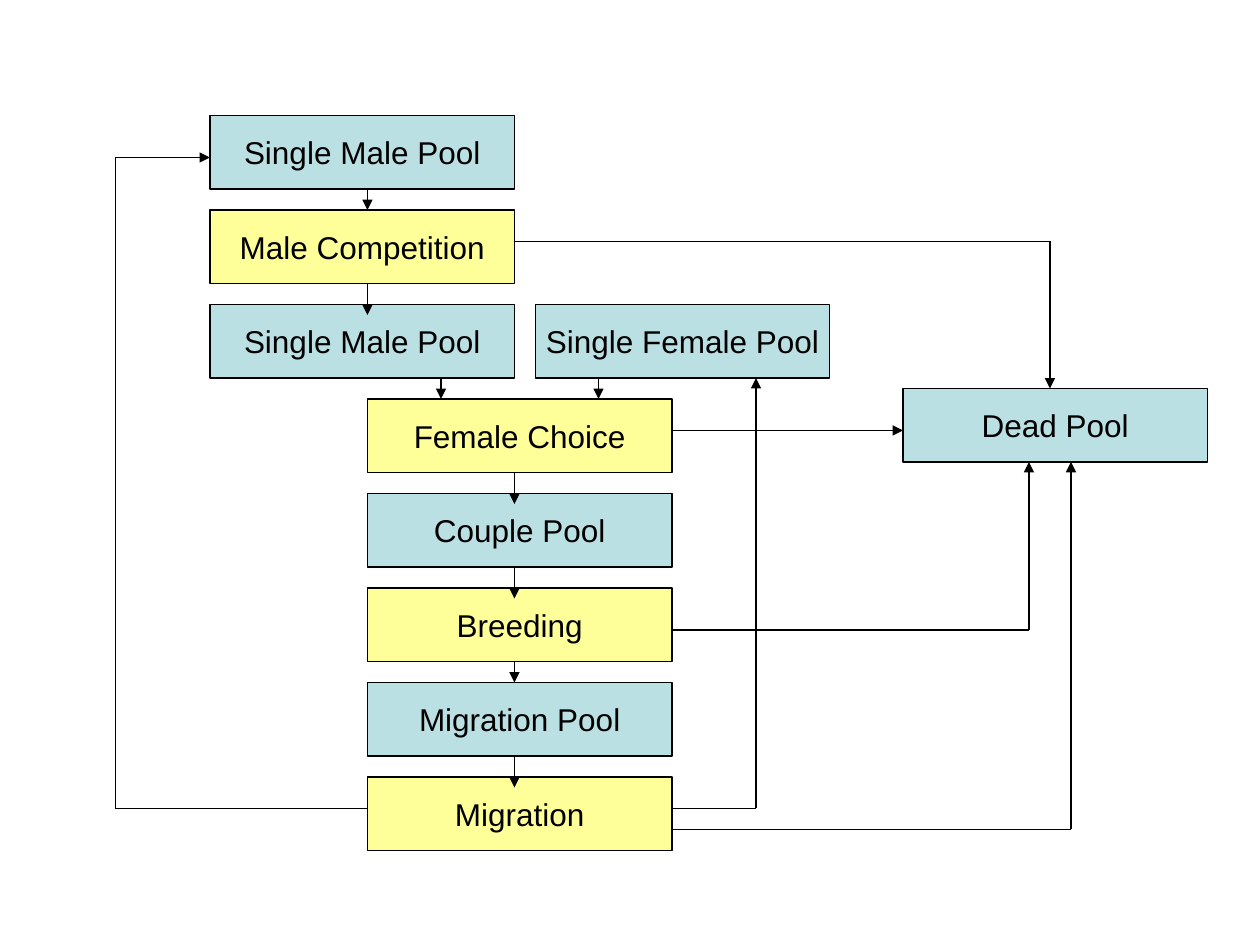
from dataclasses import dataclass
from itertools import pairwise

from lxml import etree
from pptx import Presentation
from pptx.dml.color import RGBColor
from pptx.enum.shapes import MSO_CONNECTOR, MSO_SHAPE
from pptx.enum.text import MSO_ANCHOR, PP_ALIGN
from pptx.oxml.ns import qn
from pptx.util import Emu, Pt

RECT = MSO_SHAPE.RECTANGLE
STRAIGHT = MSO_CONNECTOR.STRAIGHT
MIDDLE = MSO_ANCHOR.MIDDLE
CENTER = PP_ALIGN.CENTER

EMU_PER_PX = 7620
BLACK, POOL, PROCESS = "000000", "BBE0E3", "FFFF99"
BOX_W, BOX_H = 290, 70
TOP, PITCH = 110, 90
MALE_X, COUPLE_X, FEMALE_X = 200, 350, 510
COUPLE_RIGHT = COUPLE_X + BOX_W
DEAD_X, DEAD_Y = 860, 370
DEAD_BOTTOM = DEAD_Y + BOX_H


@dataclass
class Box:
    text: str
    x: int
    y: int
    fill: str
    w: int = BOX_W


@dataclass
class Route:
    points: list[tuple[int, int]]


def px(n: int) -> Emu:
    return Emu(n * EMU_PER_PX)


def color(value: str) -> RGBColor:
    return RGBColor.from_string(value)


def row_y(row: int) -> int:
    return TOP + row * PITCH


def down(x: int, row: int, length: int) -> Route:
    y = row_y(row) + BOX_H
    return Route([(x, y), (x, y + length)])


def draw_box(shapes, box: Box) -> None:
    s = shapes.add_shape(RECT, px(box.x), px(box.y), px(box.w), px(BOX_H))
    s.shadow.inherit = False
    s.fill.solid()
    s.fill.fore_color.rgb = color(box.fill)
    s.line.color.rgb = color(BLACK)
    s.line.width = Pt(0.75)
    tf = s.text_frame
    tf.word_wrap = False
    tf.vertical_anchor = MIDDLE
    p = tf.paragraphs[0]
    p.alignment = CENTER
    r = p.add_run()
    r.text = box.text
    r.font.name = "Arial"
    r.font.size = Pt(18)
    r.font.color.rgb = color(BLACK)


def draw_route(shapes, route: Route) -> None:
    for (x1, y1), (x2, y2) in pairwise(route.points):
        c = shapes.add_connector(STRAIGHT, px(x1), px(y1), px(x2), px(y2))
        c.line.color.rgb = color(BLACK)
        c.line.width = Pt(0.75)
        sp_pr = c._element.spPr
        etree.SubElement(sp_pr, qn("a:effectLst"))
    etree.SubElement(sp_pr.find(qn("a:ln")), qn("a:tailEnd"), type="triangle")


BOXES = [
    Box("Single Male Pool", MALE_X, row_y(0), POOL),
    Box("Male Competition", MALE_X, row_y(1), PROCESS),
    Box("Single Male Pool", MALE_X, row_y(2), POOL),
    Box("Single Female Pool", FEMALE_X, row_y(2), POOL, 280),
    Box("Female Choice", COUPLE_X, row_y(3), PROCESS),
    Box("Couple Pool", COUPLE_X, row_y(4), POOL),
    Box("Breeding", COUPLE_X, row_y(5), PROCESS),
    Box("Migration Pool", COUPLE_X, row_y(6), POOL),
    Box("Migration", COUPLE_X, row_y(7), PROCESS),
    Box("Dead Pool", DEAD_X, DEAD_Y, POOL),
]

ROUTES = [
    down(350, 0, 20),
    down(350, 1, 30),
    down(420, 2, 20),
    down(570, 2, 20),
    down(490, 3, 30),
    down(490, 4, 30),
    down(490, 5, 20),
    down(490, 6, 30),
    Route([(COUPLE_X, 770), (110, 770), (110, 150), (MALE_X, 150)]),
    Route([(COUPLE_RIGHT, 770), (720, 770), (720, row_y(2) + BOX_H)]),
    Route([(COUPLE_RIGHT, 410), (DEAD_X, 410)]),
    Route([(COUPLE_RIGHT, 600), (980, 600), (980, DEAD_BOTTOM)]),
    Route([(COUPLE_RIGHT, 790), (1020, 790), (1020, DEAD_BOTTOM)]),
    Route([(MALE_X + BOX_W, 230), (1000, 230), (1000, DEAD_Y)]),
]


def main() -> None:
    prs = Presentation()
    prs.slide_width, prs.slide_height = px(1200), px(900)
    shapes = prs.slides.add_slide(prs.slide_layouts[6]).shapes
    for box in BOXES:
        draw_box(shapes, box)
    for route in ROUTES:
        draw_route(shapes, route)
    prs.save("out.pptx")


if __name__ == "__main__":
    main()
